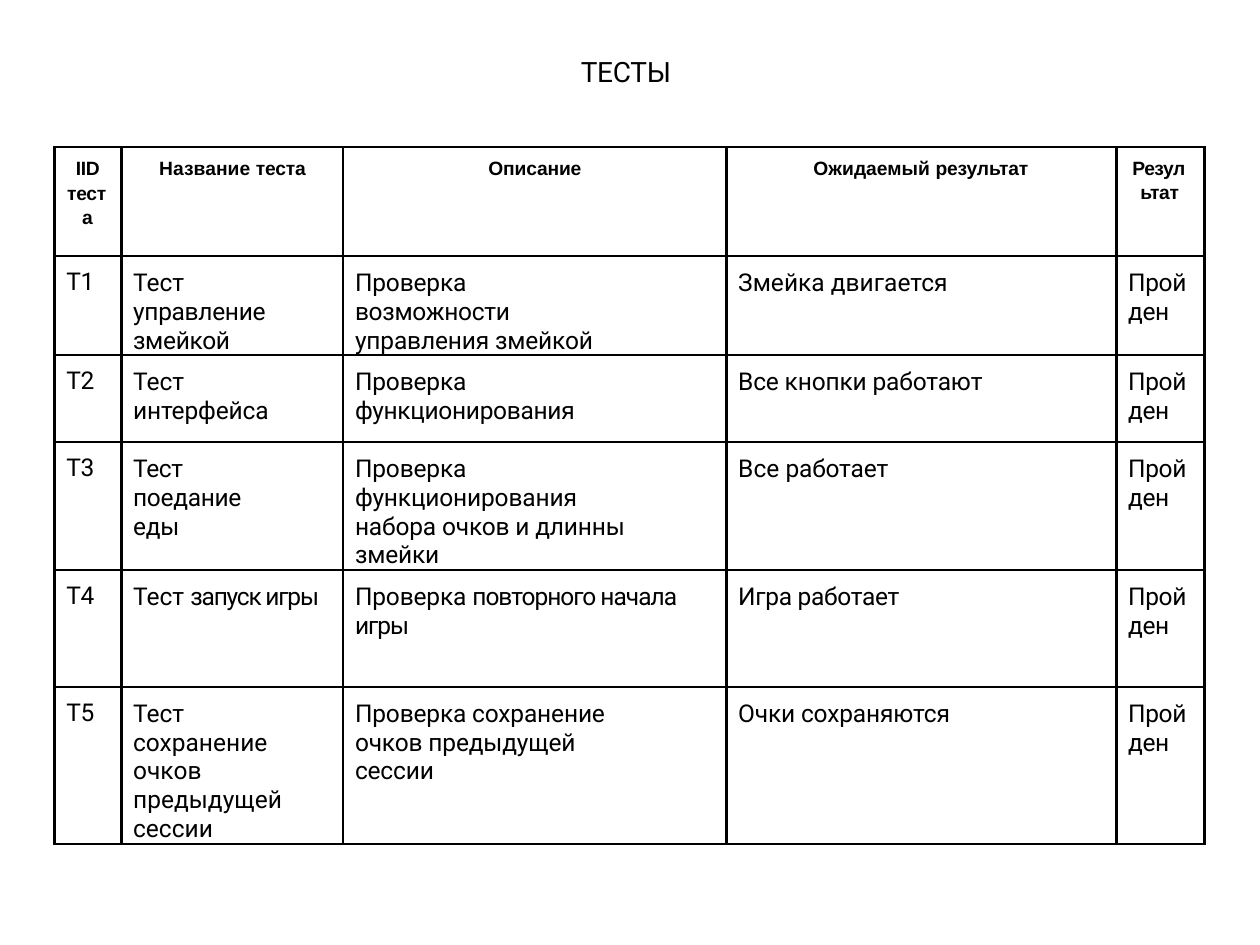
from lxml.etree import SubElement
from pptx import Presentation
from pptx.dml.color import RGBColor
from pptx.enum.text import MSO_ANCHOR, PP_ALIGN
from pptx.oxml.ns import qn
from pptx.util import Pt

BLACK = RGBColor(0x00, 0x00, 0x00)
WHITE = RGBColor(0xFF, 0xFF, 0xFF)
BODY_FONT = "Roboto"
HEADER_FONT = "Arial"

COLUMN_WIDTHS = [38.2, 126.8, 219, 222.8, 50.4]
ROW_HEIGHTS = [62.3, 56.6, 49.7, 73.1, 66.9, 89.1]
INDENT = 6.7

# Each text is a list of (wording, letter spacing in points).
PASSED = [("Прой ден", -0.2)]
# Name, description, expected result, right margins of name and description.
TESTS = [
    ([("Тест ", 0), ("управление змейкой", -0.2)],
     [("Проверка ", -0.1), ("возможности ", -0.2), ("управления змейкой", -0.1)],
     [("Змейка двигается", 0)], 32, 67),
    ([("Тест ", 0), ("интерфейса", -0.1)],
     [("Проверка ", -0.1), ("функционирования", -0.2)],
     [("Все кнопки работают", -0.1)], 32, 49),
    ([("Тест поедание еды", -0.2)],
     [("Проверка функционирования набора очков и длинны змейки", -0.1)],
     [("Все ", 0), ("работает", -0.1)], 32, 49),
    ([("Тест ", 0), ("запуск игры", -0.7)],
     [("Проверка ", -0.1), ("повторного начала игры", -0.6)],
     [("Игра работает", -0.2)], 0, 0),
    ([("Тест сохранение очков предыдущей сессии", 0)],
     [("Проверка сохранение очков предыдущей сессии", -0.1)],
     [("Очки сохраняются", -0.1)], 32, 49),
]


def write_paragraph(paragraph, runs, font, size, bold=False, before=0,
                    line=None, left=0, first=0, align=PP_ALIGN.LEFT):
    for wording, spacing in runs:
        run = paragraph.add_run()
        run.text = wording
        run.font._element.set("spc", str(round(spacing * 100)))
    paragraph.font.name = font
    paragraph.font.size = Pt(size)
    paragraph.font.bold = bold
    paragraph.font.color.rgb = BLACK
    paragraph.alignment = align
    paragraph.space_before = Pt(before)
    if line is not None:
        paragraph.line_spacing = line
    properties = paragraph._p.get_or_add_pPr()
    properties.set("marL", str(Pt(left)))
    properties.set("indent", str(Pt(first)))


def write_header(cell, runs, **layout):
    write_paragraph(cell.text_frame.paragraphs[0], runs, HEADER_FONT, 11,
                    bold=True, **layout)


def write_body(cell, runs, right=0):
    cell.margin_top, cell.margin_right = Pt(7), Pt(right)
    write_paragraph(cell.text_frame.paragraphs[0], runs, BODY_FONT, 14,
                    before=7, line=Pt(16.5), left=INDENT)


def format_cell(cell):
    """Clear the margins and draw a black border on all four sides."""
    cell.margin_left = cell.margin_right = cell.margin_bottom = 0
    cell.margin_top = Pt(6.3)
    cell.vertical_anchor = MSO_ANCHOR.TOP
    properties = cell._tc.get_or_add_tcPr()
    for side in ("lnL", "lnR", "lnT", "lnB"):
        border = SubElement(properties, qn(f"a:{side}"), w=str(Pt(1.5)))
        fill = SubElement(border, qn("a:solidFill"))
        SubElement(fill, qn("a:srgbClr"), val=str(BLACK))
    cell.fill.background()


def add_title(slide, left, top, width, height):
    frame = slide.shapes.add_textbox(
        Pt(left), Pt(top), Pt(width), Pt(height)).text_frame
    frame.word_wrap = True
    frame.margin_left = frame.margin_right = frame.margin_bottom = 0
    frame.margin_top = Pt(0.7)
    write_paragraph(frame.paragraphs[0], [("ТЕСТЫ", -0.1)], BODY_FONT, 16,
                    before=1, left=0.7)


def fill_header(cells):
    number, name, description, expected, result = cells
    write_header(number, [("IID", -0.2)], before=6.3, left=12.2)
    number.margin_right = Pt(6)
    write_paragraph(number.text_frame.add_paragraph(),
                    [("тест ", -0.2), ("а", -0.5)], HEADER_FONT, 11,
                    bold=True, line=1.14, left=15.8, first=-8.6)
    write_header(name, [("Название ", 0), ("теста", -0.1)],
                 before=6.3, left=21.6)
    write_header(description, [("Описание", -0.1)],
                 before=6.3, align=PP_ALIGN.CENTER)
    write_header(expected, [("Ожидаемый ", 0), ("результат", -0.1)],
                 before=6.3, left=49.7)
    result.margin_top = Pt(4.5)
    write_header(result, [("Резул ", -0.3), ("ьтат", -0.2)],
                 before=4.5, line=1.14, left=13.7, first=-4.5)


def add_test_table(slide, left, top):
    table = slide.shapes.add_table(
        len(ROW_HEIGHTS), len(COLUMN_WIDTHS), Pt(left), Pt(top),
        Pt(sum(COLUMN_WIDTHS)), Pt(sum(ROW_HEIGHTS))).table
    table.first_row = table.horz_banding = False
    for column, width in zip(table.columns, COLUMN_WIDTHS):
        column.width = Pt(width)
    for row, height in zip(table.rows, ROW_HEIGHTS):
        row.height = Pt(height)
    for cell in table.iter_cells():
        format_cell(cell)

    header, *test_rows = table.rows
    fill_header(header.cells)
    for index, (row, test) in enumerate(zip(test_rows, TESTS), start=1):
        name, description, expected, name_right, description_right = test
        cells = list(row.cells)
        write_paragraph(cells[0].text_frame.paragraphs[0], [(f"T{index}", -0.2)],
                        BODY_FONT, 14, before=6.2, left=INDENT)
        write_body(cells[1], name, name_right)
        write_body(cells[2], description, description_right)
        write_body(cells[3], expected)
        write_body(cells[4], PASSED)


def main():
    presentation = Presentation()
    presentation.slide_width, presentation.slide_height = Pt(720), Pt(540)
    slide = presentation.slides.add_slide(presentation.slide_layouts[6])
    slide.background.fill.solid()
    slide.background.fill.fore_color.rgb = WHITE
    add_title(slide, 331.2, 30.2, 57.6, 20.9)
    add_test_table(slide, 31.2, 84.2)
    presentation.save("out.pptx")


if __name__ == "__main__":
    main()
